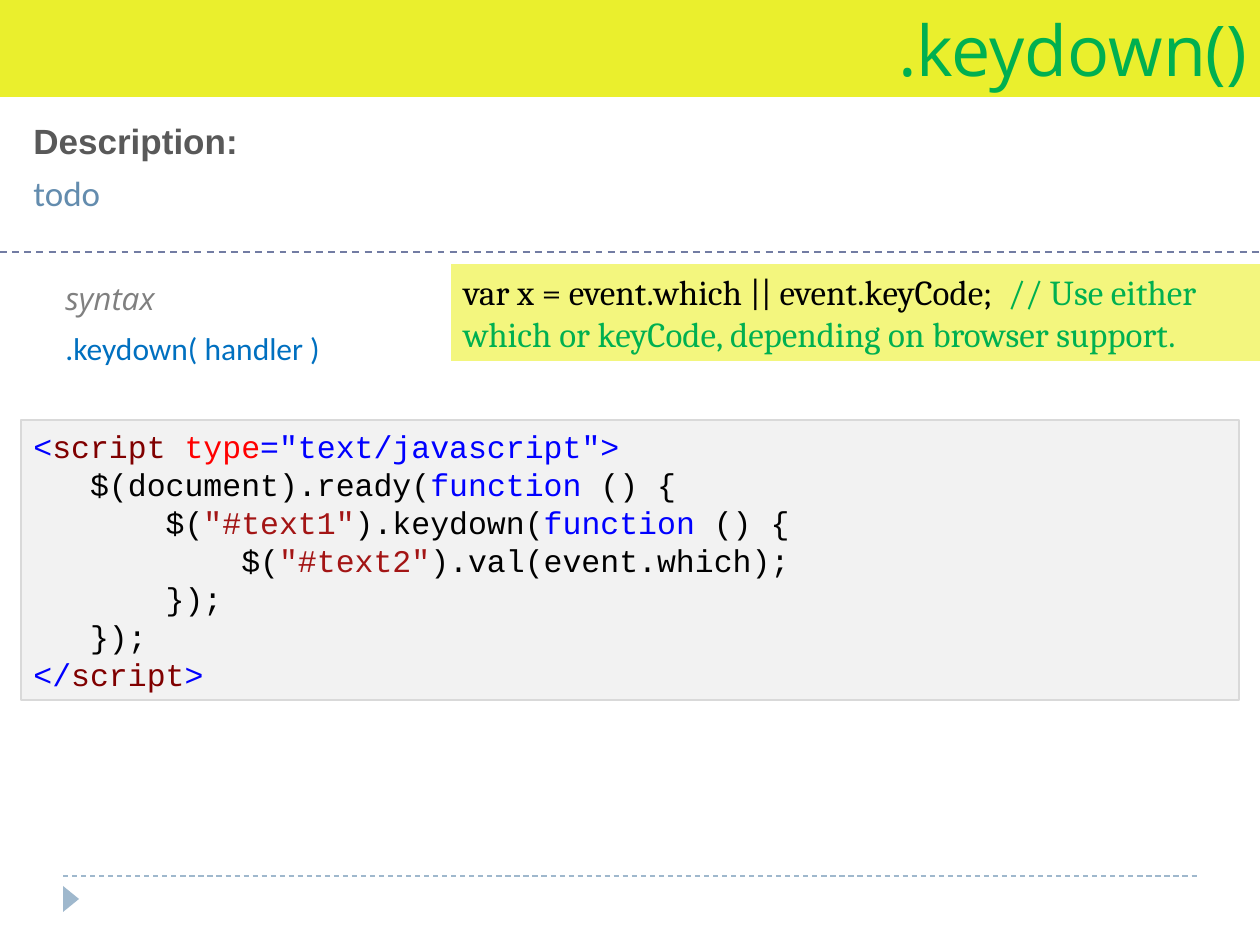
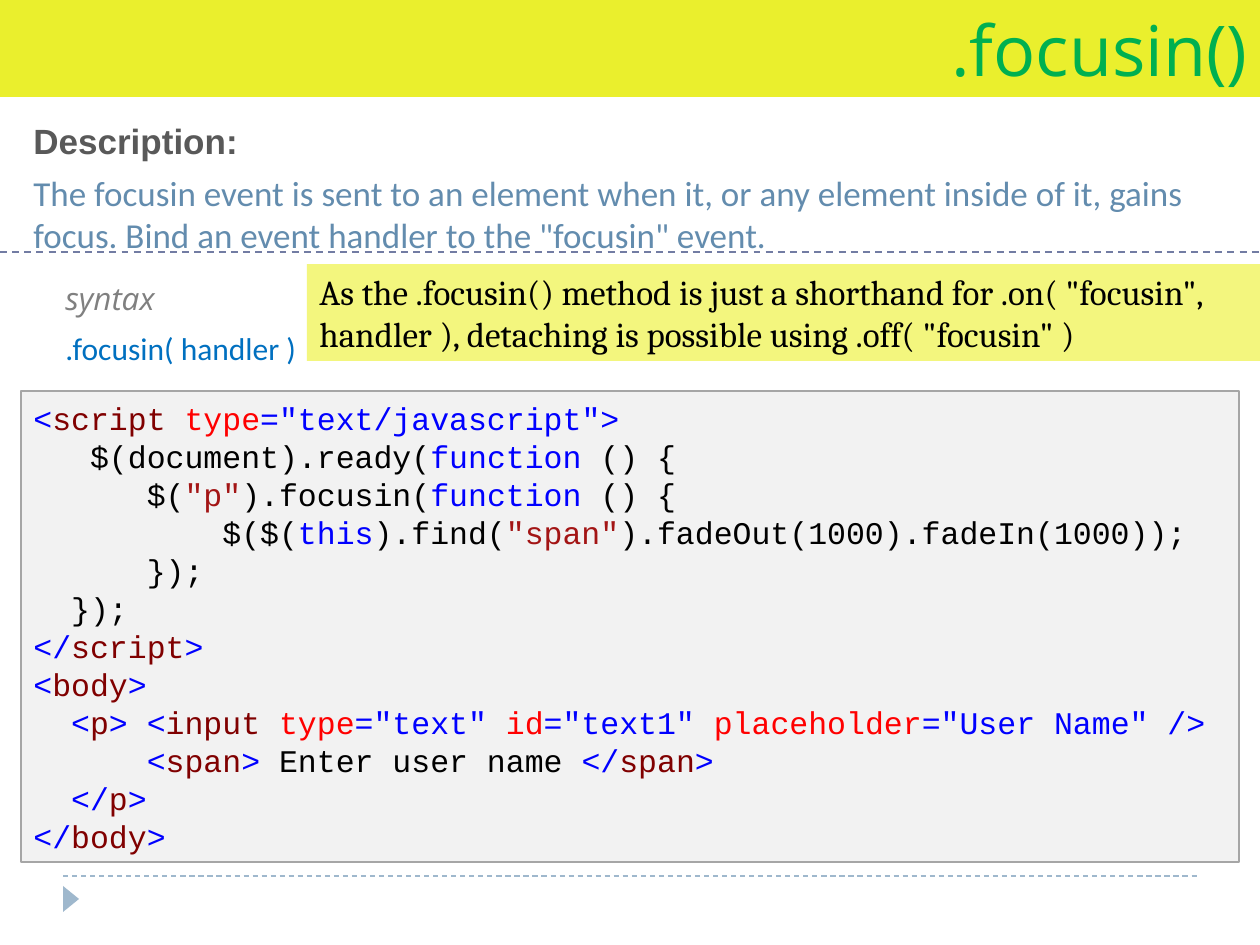
from pptx import Presentation
from pptx.dml.color import RGBColor
from pptx.enum.dml import MSO_LINE
from pptx.enum.shapes import MSO_CONNECTOR, MSO_SHAPE
from pptx.enum.text import MSO_ANCHOR, MSO_AUTO_SIZE, PP_ALIGN
from pptx.oxml.ns import qn
from pptx.util import Pt
from lxml import etree

# Scale: 126 pixels to the inch
W, H = 1260, 945
CODE_SIZE, CODE_PITCH = 18, 21.7
CHAR_WIDTH = 0.6 * CODE_SIZE

# Shared colours
BAND = RGBColor(0xEA, 0xEF, 0x2D)
NOTE = RGBColor(0xF3, 0xF6, 0x7E)
PANEL = RGBColor(0xF2, 0xF2, 0xF2)
LIGHT_EDGE = RGBColor(0xD9, 0xD9, 0xD9)
DARK_EDGE = RGBColor(0xA6, 0xA6, 0xA6)
FOOTER = RGBColor(0x9F, 0xB8, 0xCD)
DIVIDER = RGBColor(0x72, 0x7C, 0xA3)
GREEN = RGBColor(0x00, 0xB0, 0x50)
STEEL = RGBColor(0x63, 0x8C, 0xAE)
HEADING = RGBColor(0x59, 0x59, 0x59)
GREY = RGBColor(0x80, 0x80, 0x80)
SYNTAX = RGBColor(0x00, 0x70, 0xC0)
BLACK = RGBColor(0x00, 0x00, 0x00)
BLUE = RGBColor(0x00, 0x00, 0xFF)
MAROON = RGBColor(0x80, 0x00, 0x00)
RED = RGBColor(0xFF, 0x00, 0x00)
STRING = RGBColor(0xA3, 0x15, 0x15)


def px(n):
    return round(n * 914400 / 126)


def place(sp, box):
    sp.left, sp.top, sp.width, sp.height = map(px, box)


def write(p, runs, font, size, bold=False, italic=False):
    """Fill a paragraph with (text, colour) runs."""
    for text, colour in runs:
        r = p.add_run()
        r.text = text
        r.font.name, r.font.size = font, Pt(size)
        r.font.bold, r.font.italic = bold, italic
        r.font.color.rgb = colour


def frame(sp, anchor):
    tf = sp.text_frame
    tf.word_wrap = True
    tf.auto_size = MSO_AUTO_SIZE.NONE
    tf.vertical_anchor = anchor
    return tf


def label(s, box, text, colour, font, size, **style):
    sp = s.shapes.add_textbox(*map(px, box))
    tf = frame(sp, MSO_ANCHOR.TOP)
    write(tf.paragraphs[0], [(text, colour)], font, size, **style)


def filled(s, shape, box, fill, edge=None):
    sp = s.shapes.add_shape(shape, *map(px, box))
    sp.shadow.inherit = False
    sp.fill.solid()
    sp.fill.fore_color.rgb = fill
    if edge is None:
        sp.line.fill.background()
    else:
        sp.line.color.rgb = edge
        sp.line.width = Pt(0.75)
    return sp


def dashed_line(s, left, right, y, colour, width):
    cn = s.shapes.add_connector(MSO_CONNECTOR.STRAIGHT, px(left), px(y), px(right), px(y))
    cn.line.color.rgb = colour
    cn.line.width = Pt(width)
    cn.line.dash_style = MSO_LINE.DASH
    etree.SubElement(cn._element.spPr, qn("a:effectLst"))


# Regions
def title_band(s, box, text):
    sp = s.shapes.title
    place(sp, box)
    sp.fill.solid()
    sp.fill.fore_color.rgb = BAND
    p = frame(sp, MSO_ANCHOR.MIDDLE).paragraphs[0]
    p.alignment = PP_ALIGN.RIGHT
    write(p, [(text, GREEN)], "Open Sans", 40)


def description(s, box, text):
    x, y, w, h = box
    label(s, (x, y, w, 55), "Description:", HEADING, "Arial", 20, bold=True)
    label(s, (x, y + 52, w, h - 52), text, STEEL, "Calibri", 20)


def syntax(s, box, text):
    x, y, w, h = box
    label(s, (x, y, w, h / 2), "syntax", GREY, "Open Sans", 18, italic=True)
    label(s, (x, y + h / 2, w, h / 2), text, SYNTAX, "Calibri", 18)


def note(s, box, runs):
    p = frame(filled(s, MSO_SHAPE.RECTANGLE, box, NOTE), MSO_ANCHOR.MIDDLE).paragraphs[0]
    p.alignment = PP_ALIGN.LEFT
    write(p, runs, "Cambria", 20)


def code_panel(s, box, lines, edge):
    """Each line is (indent in characters, runs)."""
    tf = frame(filled(s, MSO_SHAPE.RECTANGLE, box, PANEL, edge), MSO_ANCHOR.MIDDLE)
    for i, (indent, runs) in enumerate(lines):
        p = tf.add_paragraph() if i else tf.paragraphs[0]
        p.alignment = PP_ALIGN.LEFT
        p.line_spacing = Pt(CODE_PITCH)
        p._p.get_or_add_pPr().set("marL", str(Pt(indent * CHAR_WIDTH)))
        write(p, runs, "Courier New", CODE_SIZE)


def footer(s, box):
    x, y, w, h = box
    dashed_line(s, x, x + w, y, FOOTER, 0.75)
    sp = filled(s, MSO_SHAPE.ISOSCELES_TRIANGLE, (x - 5, y + 15, 26, 16), FOOTER)
    sp.rotation = 90


def event_slide(prs, name, about, note_left, note_runs, code_box, code, edge):
    s = prs.slides.add_slide(prs.slide_layouts[5])
    footer(s, (63, 876, W - 126, 69))
    dashed_line(s, 0, W, 252, DIVIDER, 1)
    title_band(s, (0, 0, W, 97), f".{name}()")
    description(s, (21, 113, 1218, 149), about)
    syntax(s, (53, 273, 1155, 100), f".{name}( handler )")
    note(s, (note_left, 264, W + 2 - note_left, 97), note_runs)
    code_panel(s, code_box, code, edge)


# Code fragments
def opening(name):
    return [("<", BLUE), (name, MAROON), (">", BLUE)]


def closing(name):
    return [("</", BLUE), (name, MAROON), (">", BLUE)]


def attribute(name, value):
    return [(name, RED), (f'="{value}"', BLUE)]


def callback(*runs):
    return [*runs, ("function", BLUE), (" () {", BLACK)]


def selector(text):
    return [("$(", BLACK), (f'"{text}"', STRING)]


END_CALL = [("});", BLACK)]
SCRIPT_START = [
    (0, [("<", BLUE), ("script ", MAROON), *attribute("type", "text/javascript"), (">", BLUE)]),
    (3, callback(("$(document).ready(", BLACK))),
]
SCRIPT_END = (0, closing("script"))

KEYDOWN_CODE = [
    *SCRIPT_START,
    (7, callback(*selector("#text1"), (").keydown(", BLACK))),
    (11, [*selector("#text2"), (").val(event.which);", BLACK)]),
    (7, END_CALL),
    (3, END_CALL),
    SCRIPT_END,
]
FOCUSIN_CODE = [
    *SCRIPT_START,
    (6, callback(*selector("p"), (").focusin(", BLACK))),
    (10, [("$($(", BLACK), ("this", BLUE), (").find(", BLACK), ('"span"', STRING),
          (").fadeOut(1000).fadeIn(1000));", BLACK)]),
    (6, END_CALL),
    (2, END_CALL),
    SCRIPT_END,
    (0, opening("body")),
    (2, [*opening("p"), (" <", BLUE), ("input ", MAROON), *attribute("type", "text"),
         (" ", BLUE), *attribute("id", "text1"), (" ", BLUE),
         *attribute("placeholder", "User Name"), (" />", BLUE)]),
    (6, [*opening("span"), (" Enter user name ", BLACK), *closing("span")]),
    (2, closing("p")),
    (0, closing("body")),
]

prs = Presentation()
prs.slide_width, prs.slide_height = px(W), px(H)

event_slide(
    prs, "keydown", "todo", 451,
    [("var x = event.which || event.keyCode;  ", BLACK),
     ("// Use either which or keyCode, depending on browser support.", GREEN)],
    (21, 420, 1218, 280), KEYDOWN_CODE, LIGHT_EDGE)

event_slide(
    prs, "focusin",
    "The focusin event is sent to an element when it, or any element inside of it, "
    'gains focus.\u00a0Bind an event handler to the "focusin" event.', 307,
    [('As the .focusin() method is just a shorthand for .on( "focusin", handler ), '
      'detaching is possible using .off( "focusin" )', BLACK)],
    (21, 391, 1218, 471), FOCUSIN_CODE, DARK_EDGE)

prs.save("out.pptx")
